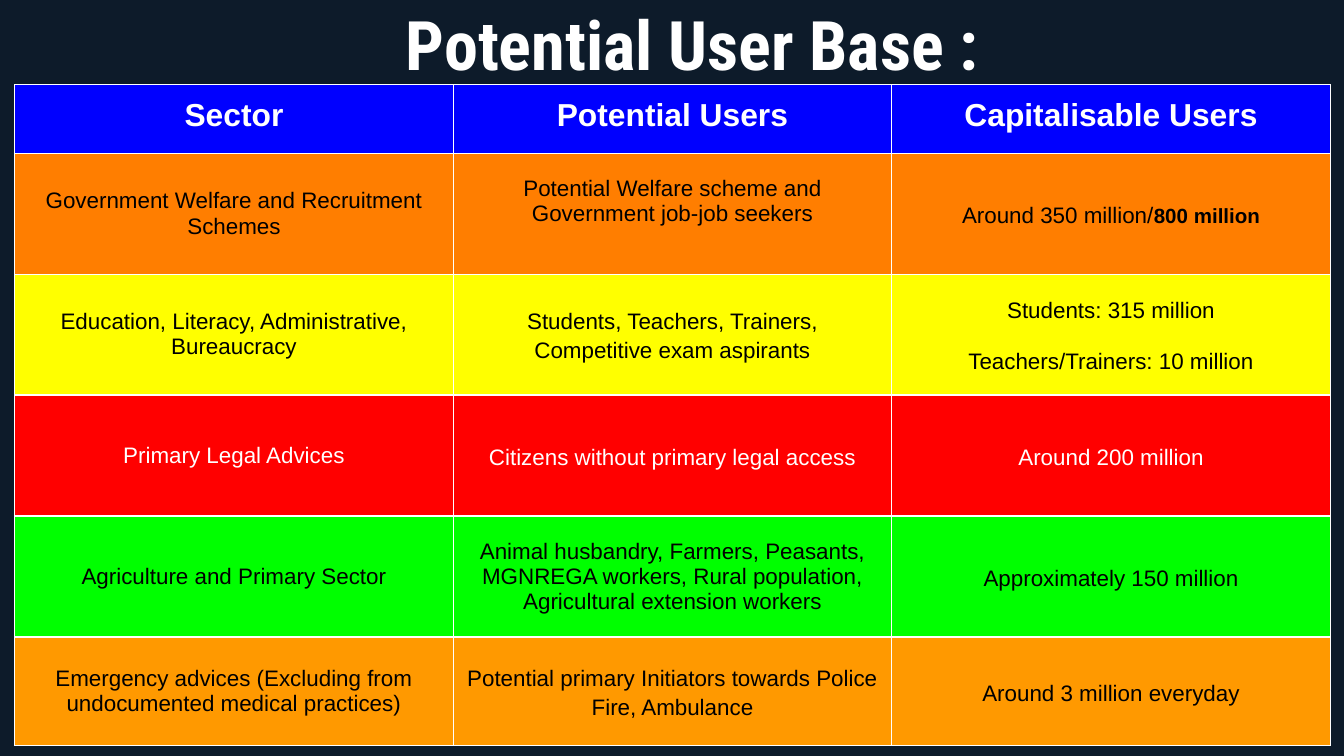
from dataclasses import dataclass

from lxml.etree import SubElement
from pptx import Presentation
from pptx.dml.color import RGBColor
from pptx.enum.text import MSO_ANCHOR, PP_ALIGN
from pptx.oxml.ns import qn
from pptx.util import Inches, Pt

NAVY = RGBColor(0x0D, 0x1B, 0x2A)
WHITE = RGBColor(0xFF, 0xFF, 0xFF)
BLACK = RGBColor(0x00, 0x00, 0x00)
BLUE = RGBColor(0x00, 0x00, 0xFF)
ORANGE = RGBColor(0xFF, 0x7E, 0x00)
YELLOW = RGBColor(0xFF, 0xFF, 0x00)
RED = RGBColor(0xFF, 0x00, 0x00)
GREEN = RGBColor(0x00, 0xFF, 0x00)
AMBER = RGBColor(0xFF, 0x99, 0x00)

SLIDE_WIDTH = Inches(10)
SLIDE_HEIGHT = SLIDE_WIDTH * 9 // 16
TABLE_LEFT, TABLE_TOP, TABLE_WIDTH = 0.11, 0.63, 9.79
MARGIN = Inches(0.1)


@dataclass(frozen=True)
class Entry:
    lines: tuple[str, ...]
    spaced: bool = False
    bold_tail: str = ""
    lift: float = 0


@dataclass(frozen=True)
class Row:
    height: float
    fill: RGBColor
    entries: tuple[Entry, ...]
    color: RGBColor = BLACK
    header: bool = False


def plain(*lines: str, lift: float = 0) -> Entry:
    return Entry(lines, lift=lift)


def spaced(*lines: str, bold_tail: str = "") -> Entry:
    return Entry(lines, True, bold_tail)


ROWS = (
    Row(0.51, BLUE, (
        plain("Sector"), plain("Potential Users"), plain("Capitalisable Users"),
    ), WHITE, True),
    Row(0.9, ORANGE, (
        plain("Government Welfare and Recruitment Schemes"),
        plain("Potential Welfare scheme and Government job-job seekers", lift=0.18),
        spaced("Around 350 million/", bold_tail="800 million"),
    )),
    Row(0.9, YELLOW, (
        plain("Education, Literacy, Administrative, Bureaucracy"),
        spaced("Students, Teachers, Trainers, Competitive exam aspirants"),
        spaced("Students: 315 million", "Teachers/Trainers: 10 million"),
    )),
    Row(0.9, RED, (
        plain("Primary Legal Advices"),
        spaced("Citizens without primary legal access"),
        spaced("Around 200 million"),
    ), WHITE),
    Row(0.9, GREEN, (
        plain("Agriculture and Primary Sector"),
        plain("Animal husbandry, Farmers, Peasants, MGNREGA workers, "
              "Rural population, Agricultural extension workers"),
        spaced("Approximately 150 million"),
    )),
    Row(0.81, AMBER, (
        plain("Emergency advices (Excluding from undocumented medical practices)"),
        spaced("Potential primary Initiators towards Police Fire, Ambulance"),
        spaced("Around 3 million everyday"),
    )),
)


def set_font(font, name: str, size: float, color: RGBColor, bold: bool) -> None:
    font.name = name
    font.size = Pt(size)
    font.color.rgb = color
    font.bold = bold


def add_borders(cell) -> None:
    tcPr = cell._tc.get_or_add_tcPr()
    for i, side in enumerate(("a:lnL", "a:lnR", "a:lnT", "a:lnB")):
        ln = tcPr.makeelement(qn(side), {"w": str(Pt(0.75))})
        SubElement(SubElement(ln, qn("a:solidFill")), qn("a:srgbClr"), val=str(WHITE))
        tcPr.insert(i, ln)


def fill_cell(cell, entry: Entry, row: Row) -> None:
    cell.fill.solid()
    cell.fill.fore_color.rgb = row.fill
    add_borders(cell)
    cell.margin_left = cell.margin_right = cell.margin_top = MARGIN
    cell.margin_bottom = MARGIN + Inches(entry.lift)
    cell.vertical_anchor = MSO_ANCHOR.TOP if row.header else MSO_ANCHOR.MIDDLE
    tf = cell.text_frame
    tf.text = "\n".join(entry.lines)
    for p in tf.paragraphs:
        p.alignment = PP_ALIGN.CENTER
        if entry.spaced:
            p.line_spacing = 1.15
            p.space_before = Pt(12)
        for r in p.runs:
            set_font(r.font, "Arial", 17 if row.header else 12, row.color, row.header)
    if entry.spaced:
        p.space_after = Pt(12)
    if entry.bold_tail:
        r = p.add_run()
        r.text = entry.bold_tail
        set_font(r.font, "Arial", 11, row.color, True)


def add_user_table(s, rows: tuple[Row, ...]) -> None:
    height = sum(row.height for row in rows)
    table = s.shapes.add_table(
        len(rows), len(rows[0].entries), Inches(TABLE_LEFT), Inches(TABLE_TOP),
        Inches(TABLE_WIDTH), Inches(height),
    ).table
    table.horz_banding = False
    table.first_row = False
    for i, row in enumerate(rows):
        table.rows[i].height = Inches(row.height)
        for j, entry in enumerate(row.entries):
            fill_cell(table.cell(i, j), entry, row)


def add_title(s, text: str) -> None:
    sp = s.shapes.add_textbox(Inches(2.92), Inches(-0.08), Inches(4.58), Inches(0.63))
    tf = sp.text_frame
    tf.word_wrap = True
    tf.margin_left = tf.margin_right = tf.margin_top = tf.margin_bottom = MARGIN
    p = tf.paragraphs[0]
    p.text = text
    set_font(p.font, "Roboto Condensed", 36.6, WHITE, True)


def main() -> None:
    prs = Presentation()
    prs.slide_width, prs.slide_height = SLIDE_WIDTH, SLIDE_HEIGHT
    s = prs.slides.add_slide(prs.slide_layouts[6])
    s.background.fill.solid()
    s.background.fill.fore_color.rgb = NAVY
    add_user_table(s, ROWS)
    add_title(s, "Potential User Base :")
    prs.save("out.pptx")


if __name__ == "__main__":
    main()
